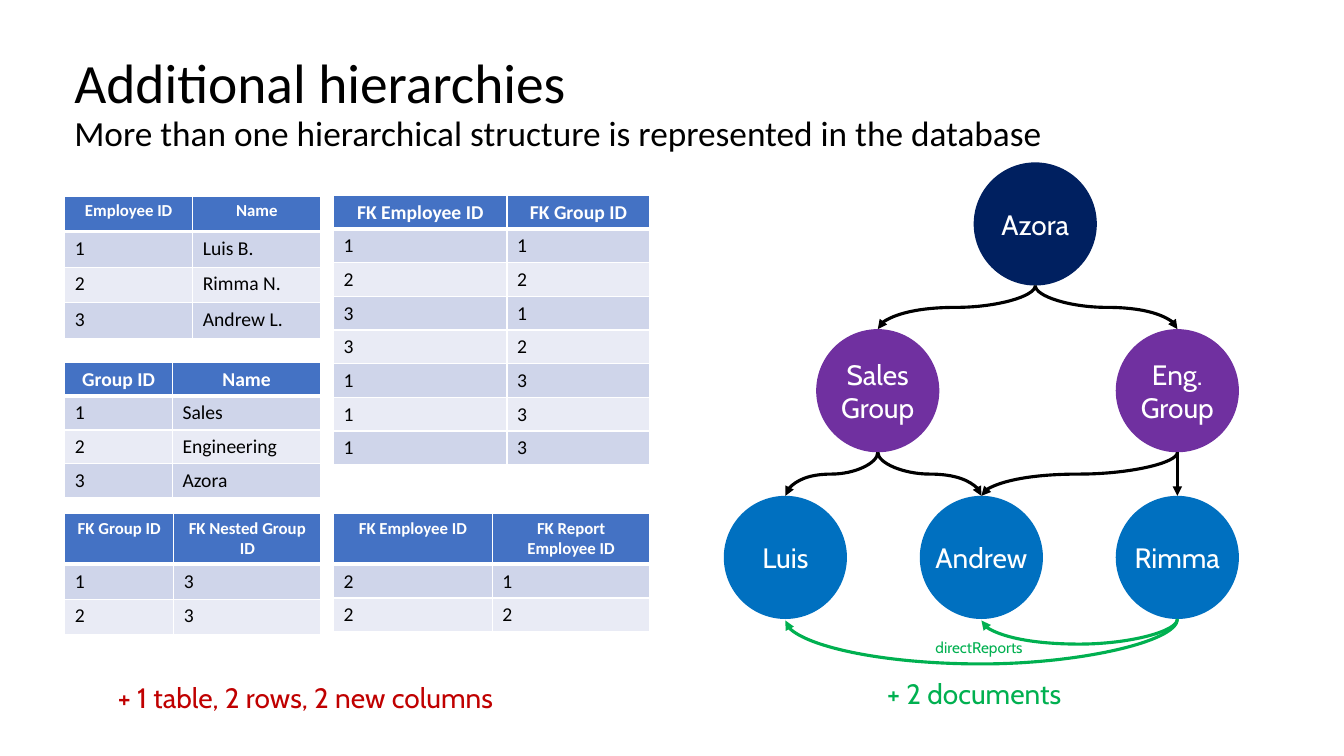
import dataclasses
import pptx
import pptx.dml.color
import pptx.enum.shapes
import pptx.enum.text
import pptx.oxml.ns
import pptx.oxml.xmlchemy
import pptx.util
from lxml import etree

Pt = pptx.util.Pt
ALIGN = pptx.enum.text.PP_ALIGN
ANCHOR = pptx.enum.text.MSO_ANCHOR
CONNECTOR = pptx.enum.shapes.MSO_CONNECTOR
qn = pptx.oxml.ns.qn


@dataclasses.dataclass(frozen=True)
class Theme:
    body_font: str = "Calibri"
    diagram_font: str = "Cabin"
    black: str = "000000"
    white: str = "FFFFFF"
    header: str = "4472C4"
    bands: tuple = ("CFD5EA", "E9EBF5")
    root: str = "002060"
    group: str = "7030A0"
    person: str = "0070C0"
    relational: str = "C00000"
    document: str = "00B050"
    title_size: float = 39.6
    subtitle_size: float = 25.2
    diagram_size: float = 20
    cell_size: float = 14
    small_header_size: float = 12
    edge_label_size: float = 11
    edge_width: float = 2.25


class SlideBuilder:
    def __init__(self, slide, theme):
        self.slide = slide
        self.theme = theme

    def style(self, paragraph, size, color, font, align=ALIGN.LEFT, bold=False):
        paragraph.alignment = align
        for run in paragraph.runs:
            run.font.size = Pt(size)
            run.font.name = font
            run.font.bold = bold
            run.font.color.rgb = pptx.dml.color.RGBColor.from_string(color)

    def fill(self, target, color):
        target.fill.solid()
        target.fill.fore_color.rgb = pptx.dml.color.RGBColor.from_string(color)

    def title(self, left, top, width, height, text, sizes):
        shape = self.slide.shapes.add_textbox(Pt(left), Pt(top), Pt(width), Pt(height))
        frame = shape.text_frame
        frame.word_wrap = True
        frame.vertical_anchor = ANCHOR.MIDDLE
        frame.text = text
        for paragraph, size in zip(frame.paragraphs, sizes):
            paragraph.line_spacing = 0.9
            self.style(paragraph, size, self.theme.black, self.theme.body_font)

    def no_insets(self, frame):
        frame.margin_left = frame.margin_right = Pt(0)
        frame.margin_top = frame.margin_bottom = Pt(0)
        frame.word_wrap = False

    def label(self, left, top, width, height, text, size, color):
        shape = self.slide.shapes.add_textbox(Pt(left), Pt(top), Pt(width), Pt(height))
        self.no_insets(shape.text_frame)
        shape.text_frame.text = text
        self.style(shape.text_frame.paragraphs[0], size, color, self.theme.diagram_font)

    def circle(self, left, top, diameter, text, color):
        shape = self.slide.shapes.add_shape(
            pptx.enum.shapes.MSO_SHAPE.OVAL, Pt(left), Pt(top), Pt(diameter), Pt(diameter))
        shape.shadow.inherit = False
        self.fill(shape, color)
        shape.line.fill.background()
        frame = shape.text_frame
        self.no_insets(frame)
        frame.vertical_anchor = ANCHOR.MIDDLE
        frame.text = text
        for paragraph in frame.paragraphs:
            self.style(paragraph, self.theme.diagram_size, self.theme.white,
                       self.theme.diagram_font, ALIGN.CENTER)

    def arrow(self, start, end, color, bend=None):
        """Draw downwards from start to end; bend is the depth of the curve's turn."""
        (x1, y1), (x2, y2) = start, end
        straight = x1 == x2
        kind = CONNECTOR.STRAIGHT if straight else CONNECTOR.CURVE
        connector = self.slide.shapes.add_connector(kind, Pt(x1), Pt(y1), Pt(x2), Pt(y2))
        properties = connector._element.spPr
        if not straight:
            # A quarter turn makes the curve leave and arrive vertically
            drop, reach = y2 - y1, abs(x2 - x1)
            connector.left = Pt((x1 + x2 - drop) / 2)
            connector.top = Pt((y1 + y2 - reach) / 2)
            connector.width, connector.height = Pt(drop), Pt(reach)
            frame = properties.find(qn("a:xfrm"))
            frame.attrib.pop("flipH", None)
            frame.set("rot", str((90 if x2 < x1 else 270) * 60000))
            if x2 > x1:
                frame.set("flipH", "1")
            ratio = bend / drop if bend else 0.5
            guides = properties.find(qn("a:prstGeom")).find(qn("a:avLst"))
            etree.SubElement(guides, qn("a:gd"), name="adj1",
                             fmla=f"val {round(ratio * 100000)}")
        connector.line.width = Pt(self.theme.edge_width)
        connector.line.color.rgb = pptx.dml.color.RGBColor.from_string(color)
        etree.SubElement(properties.find(qn("a:ln")), qn("a:tailEnd"), type="triangle")
        etree.SubElement(properties, qn("a:effectLst"))

    def borders(self, cell, top, bottom):
        properties = cell._tc.get_or_add_tcPr()
        for side, width in (("L", 1), ("R", 1), ("T", top), ("B", bottom)):
            line = etree.SubElement(properties, qn(f"a:ln{side}"), w=str(Pt(width)))
            color = etree.SubElement(line, qn("a:solidFill"))
            etree.SubElement(color, qn("a:srgbClr"), val=self.theme.white)

    def table(self, left, top, widths, heights, rows, header_size):
        theme = self.theme
        table = self.slide.shapes.add_table(
            len(rows), len(widths), Pt(left), Pt(top), Pt(sum(widths)), Pt(sum(heights))).table
        for column, width in zip(table.columns, widths):
            column.width = Pt(width)
        for index, (height, values) in enumerate(zip(heights, rows)):
            table.rows[index].height = Pt(height)
            is_header = index == 0
            for cell, value in zip(table.rows[index].cells, values):
                self.borders(cell, 3 if index == 1 else 1, 3 if is_header else 1)
                self.fill(cell, theme.header if is_header else theme.bands[(index - 1) % 2])
                cell.text_frame.text = value
                self.style(cell.text_frame.paragraphs[0],
                           header_size if is_header else theme.cell_size,
                           theme.white if is_header else theme.black, theme.body_font,
                           ALIGN.CENTER if is_header else ALIGN.LEFT, is_header)


def main():
    presentation = pptx.Presentation()
    presentation.slide_width, presentation.slide_height = Pt(960), Pt(540)
    theme = Theme()
    builder = SlideBuilder(presentation.slides.add_slide(presentation.slide_layouts[6]), theme)

    # Title
    builder.title(46, 36, 868, 78,
                  "Additional hierarchies\n"
                  "More than one hierarchical structure is represented in the database",
                  (theme.title_size, theme.subtitle_size))

    # Relational tables in two columns
    first, second = 46.2, 238.2
    small, normal = theme.small_header_size, theme.cell_size
    builder.table(first, 140, (91.5, 91.5), [25.4] * 4, [
        ("Employee ID", "Name"), ("1", "Luis B."), ("2", "Rimma N."), ("3", "Andrew L.")], small)
    builder.table(second, 139.6, (124, 102), [24] * 8, [
        ("FK Employee ID", "FK Group ID"), ("1", "1"), ("2", "2"), ("3", "1"), ("3", "2"),
        ("1", "3"), ("1", "3"), ("1", "3")], normal)
    builder.table(first, 259, (77, 106), [24] * 4, [
        ("Group ID", "Name"), ("1", "Sales"), ("2", "Engineering"), ("3", "Azora")], normal)
    builder.table(first, 366.6, (78, 105), (36.5, 25, 25), [
        ("FK Group ID", "FK Nested Group ID"), ("1", "3"), ("2", "3")], small)
    builder.table(second, 366.6, (113.5, 112.5), (36.5, 24, 24), [
        ("FK Employee ID", "FK Report Employee ID"), ("2", "1"), ("2", "2")], small)

    # Hierarchy nodes: name -> (centre, level, text, colour)
    diameter, first_level, level_step = 88, 116, 119.1
    nodes = {
        "root": (739.5, 0, "Azora", theme.root),
        "sales": (627, 1, "Sales\nGroup", theme.group),
        "engineering": (841, 1, "Eng.\nGroup", theme.group),
        "luis": (561, 2, "Luis", theme.person),
        "andrew": (701, 2, "Andrew", theme.person),
        "rimma": (841, 2, "Rimma", theme.person),
    }
    tops = {name: first_level + node[1] * level_step for name, node in nodes.items()}
    for name, (center, _, text, color) in nodes.items():
        builder.circle(center - diameter / 2, tops[name], diameter, text, color)

    # Membership arrows
    for parent, child in (("root", "sales"), ("root", "engineering"), ("sales", "luis"),
                          ("sales", "andrew"), ("engineering", "andrew"),
                          ("engineering", "rimma")):
        builder.arrow((nodes[parent][0], tops[parent] + diameter),
                      (nodes[child][0], tops[child]), theme.black)

    # Reporting arrows below the people
    bottom = tops["rimma"] + diameter
    for report, bend in (("andrew", 18), ("luis", 32.3)):
        builder.arrow((nodes["rimma"][0], bottom), (nodes[report][0], bottom + 1),
                      theme.document, bend)
    builder.label(668.2, 455.8, 66.2, 13.7, "directReports", theme.edge_label_size,
                  theme.document)

    # Cost of each model
    builder.label(84.2, 486, 292.3, 24.5, "+ 1 table, 2 rows, 2 new columns",
                  theme.diagram_size, theme.relational)
    builder.label(633.6, 483.1, 135.4, 24.5, "+ 2 documents", theme.diagram_size,
                  theme.document)

    presentation.save("out.pptx")


if __name__ == "__main__":
    main()
